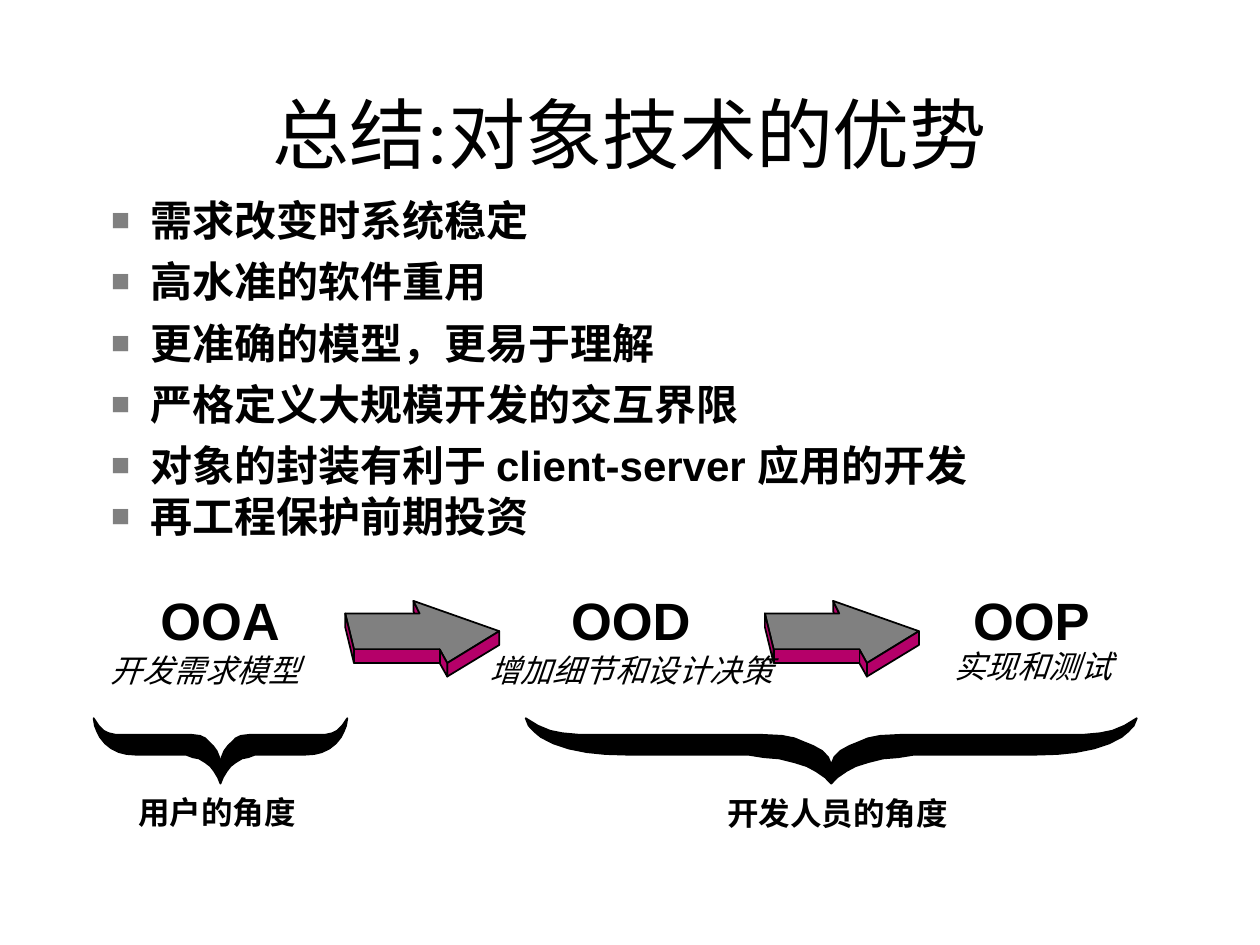
"""Build a slide that sums up the benefits of object technology."""
from lxml.etree import SubElement
from pptx import Presentation
from pptx.dml.color import RGBColor
from pptx.enum.text import MSO_ANCHOR, MSO_AUTO_SIZE, PP_ALIGN
from pptx.oxml.ns import qn
from pptx.util import Pt

BLACK = RGBColor(0, 0, 0)
GRAY = RGBColor(0x80, 0x80, 0x80)
PINK = RGBColor(0xB5, 0x00, 0x69)


def write(para, text, size=18, font="Arial", bold=False, italic=False,
          align=PP_ALIGN.LEFT, line=1.0):
    para.alignment = align
    para.line_spacing = line
    run = para.add_run()
    run.text = text
    run.font.size = Pt(size)
    run.font.name = font
    run.font.bold = bold
    run.font.italic = italic
    run.font.color.rgb = BLACK


def draw(shapes, points, left, top, fill):
    spots = [(Pt(left + x), Pt(top + y)) for x, y in points]
    pen = shapes.build_freeform(*spots[0])
    pen.add_line_segments(spots[1:], close=True)
    shape = pen.convert_to_shape()
    shape.shadow.inherit = False
    shape.fill.solid()
    shape.fill.fore_color.rgb = fill
    shape.line.color.rgb = BLACK
    shape.line.width = Pt(1)


deck = Presentation()
deck.slide_width, deck.slide_height = Pt(720), Pt(540)
slide = deck.slides.add_slide(deck.slide_layouts[1])

title = slide.shapes.title
body = slide.placeholders[1]
for box, left, top, width, height, anchor in [
    (title, 54, 42, 612, 60, MSO_ANCHOR.BOTTOM),
    (body, 41, 120, 651, 189, MSO_ANCHOR.TOP),
]:
    box.left, box.top, box.width, box.height = Pt(left), Pt(top), Pt(width), Pt(height)
    frame = box.text_frame
    frame.margin_left = frame.margin_right = frame.margin_top = frame.margin_bottom = 0
    frame.vertical_anchor = anchor
    frame.auto_size = MSO_AUTO_SIZE.NONE
write(title.text_frame.paragraphs[0], "总结:对象技术的优势", size=44,
      font="Times New Roman", align=PP_ALIGN.CENTER)

points = [
    ("需求改变时系统稳定", 0, 15),
    ("高水准的软件重用", 0, 15),
    ("更准确的模型，更易于理解", 0, 15),
    ("严格定义大规模开发的交互界限", 0, 15),
    ("对象的封装有利于 client-server 应用的开发", 0, 0),
    ("再工程保护前期投资", 9, 0),
]
for row, (text, before, after) in enumerate(points):
    frame = body.text_frame
    para = frame.add_paragraph() if row else frame.paragraphs[0]
    para.level = 1
    props = para._p.get_or_add_pPr()
    props.set("marL", str(Pt(45)))
    props.set("indent", str(Pt(-22.5)))
    color = SubElement(props, qn("a:buClr"))
    SubElement(color, qn("a:srgbClr"), val=str(GRAY))
    SubElement(props, qn("a:buSzPct"), val="75000")
    SubElement(props, qn("a:buFont"), typeface="Arial")
    SubElement(props, qn("a:buChar"), char="■")
    para.space_before, para.space_after = Pt(before), Pt(after)
    write(para, text, size=24, bold=True, line=Pt(20))

arrow = [
    (PINK, [(39, 0), (42.5, 7.2), (42.5, 15), (39, 6)]),
    (GRAY, [(39, 0), (88, 17.3), (58.3, 35.5), (54, 27.7), (5, 27.7), (0, 7.2), (42.5, 7.2)]),
    (PINK, [(88, 17.3), (58.3, 35.5), (58.3, 43.2), (88, 25.2)]),
    (PINK, [(58.3, 35.5), (54, 27.7), (54, 35.5), (58.3, 43.2)]),
    (PINK, [(54, 27.7), (54, 35.5), (5, 35.5), (5, 27.7)]),
    (PINK, [(0, 7.2), (5, 27.7), (5, 35.5), (0, 15)]),
]
for left in (197.3, 437.1):
    group = slide.shapes.add_group_shape()
    for fill, face in arrow:
        draw(group.shapes, face, left, 343.4, fill)

half = [
    (0, 37.4), (0.02, 33.8), (0.05, 30.2), (0.08, 27.4), (0.12, 25.2), (0.17, 23),
    (0.22, 22.3), (0.27, 20.9), (0.66, 20.9), (0.74, 20.5), (0.8, 19.4), (0.86, 17.3),
    (0.91, 14.4), (0.95, 10.8), (0.97, 7.9), (0.99, 4.3), (1, 0), (0.96, 4.3),
    (0.92, 7.2), (0.88, 8.6), (0.83, 9.4), (0.24, 9.4), (0.16, 10.1), (0.12, 11.5),
    (0.09, 13.7), (0.06, 15.8), (0.03, 18.7), (0.01, 22.3), (0, 26.6),
]
for mid, reach in [(126, 72.5), (475, 174.6)]:
    right = [(x * reach, y) for x, y in half]
    brace = right + [(-x, y) for x, y in right[-2:0:-1]]
    draw(slide.shapes, brace, mid, 410.4, BLACK)

head = dict(size=30, bold=True, line=0.9)
note = dict(italic=True, line=0.9)
view = dict(bold=True)
labels = [
    ("OOA", 85.2, 337, 86, 38, head),
    ("OOD", 319.9, 337, 86, 38, head),
    ("OOP", 549.6, 337, 86, 38, head),
    ("开发需求模型", 56.9, 371.5, 126, 25.2, note),
    ("增加细节和设计决策", 270.7, 371.5, 180, 25.2, note | {"align": PP_ALIGN.CENTER}),
    ("实现和测试", 536.4, 369.4, 108, 25.2, note | {"align": PP_ALIGN.CENTER}),
    ("用户的角度", 72, 449.5, 110, 28.4, view),
    ("开发人员的角度", 408.6, 450, 146, 28.8, view),
]
for text, left, top, width, height, style in labels:
    box = slide.shapes.add_textbox(Pt(left), Pt(top), Pt(width), Pt(height))
    frame = box.text_frame
    frame.word_wrap = True
    frame.auto_size = MSO_AUTO_SIZE.NONE
    side, edge = (7.2, 3.6) if style is view else (6.5, 3)
    frame.margin_left = frame.margin_right = Pt(side)
    frame.margin_top = frame.margin_bottom = Pt(edge)
    write(frame.paragraphs[0], text, **style)

deck.save("out.pptx")
